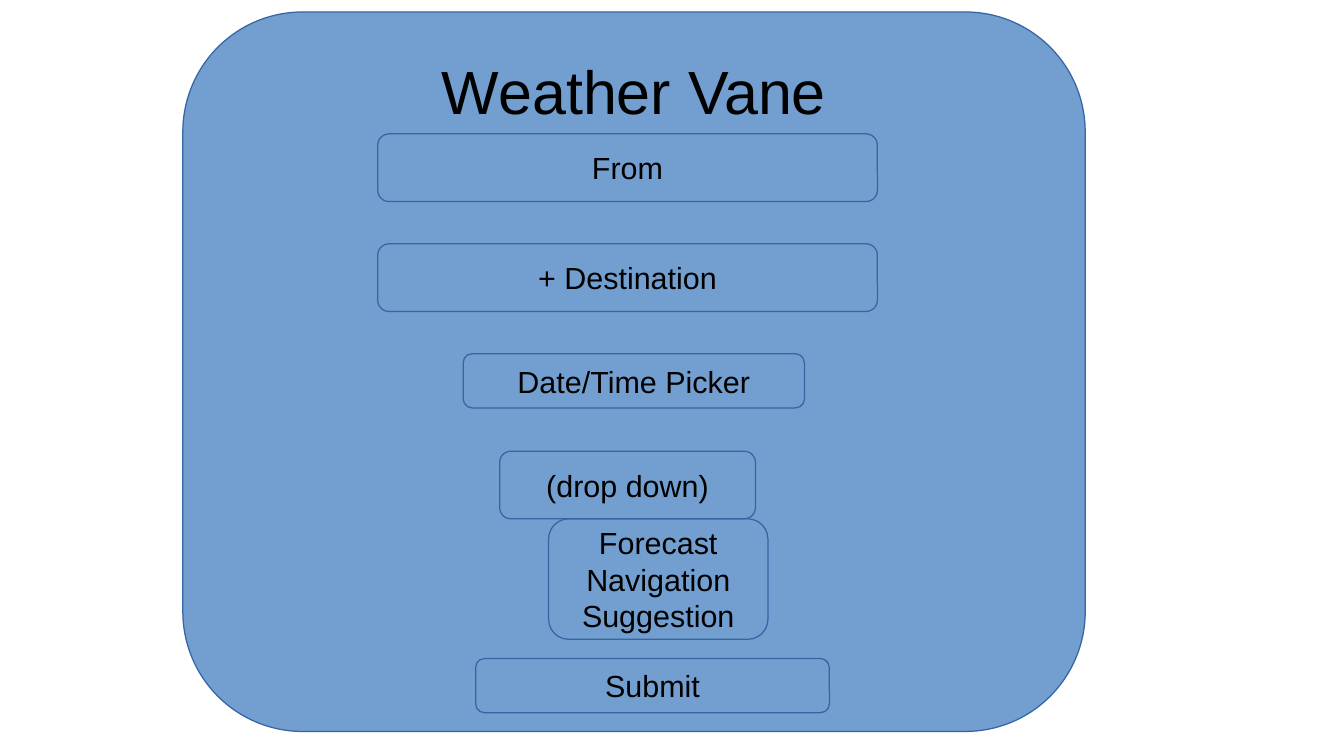
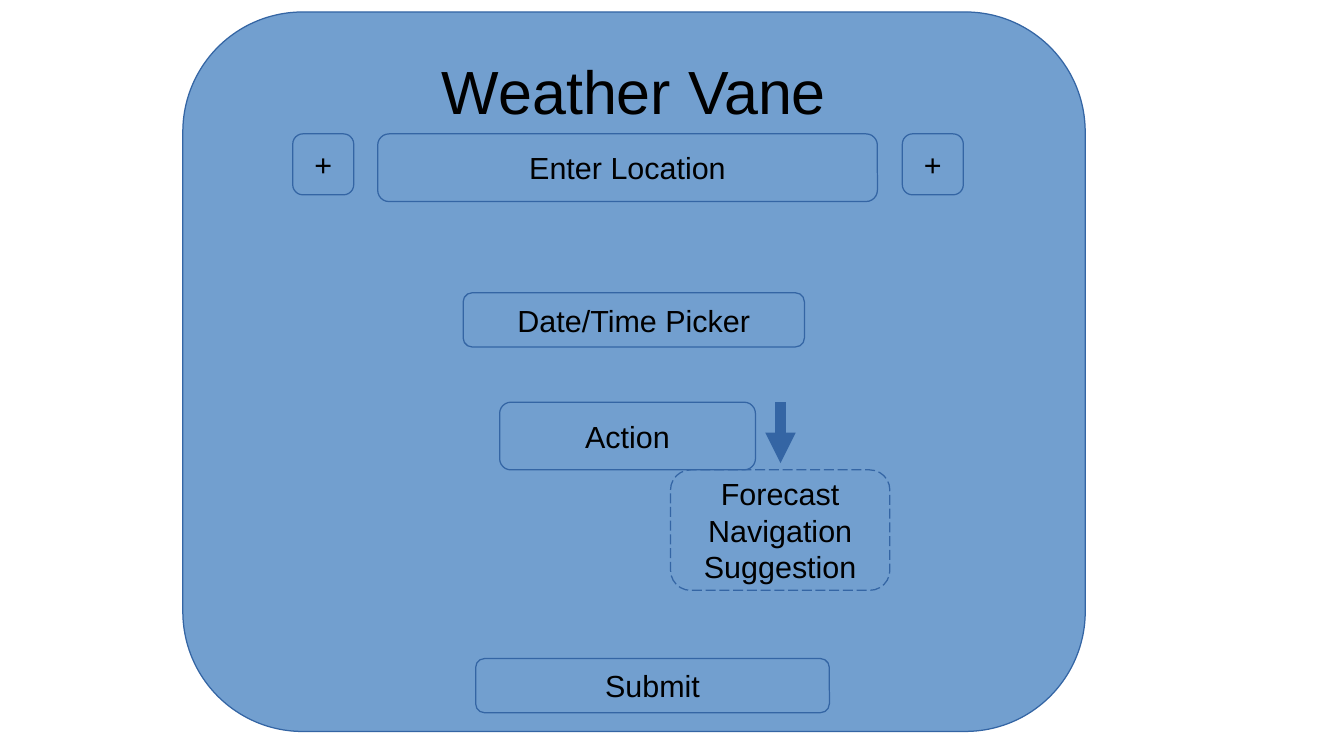
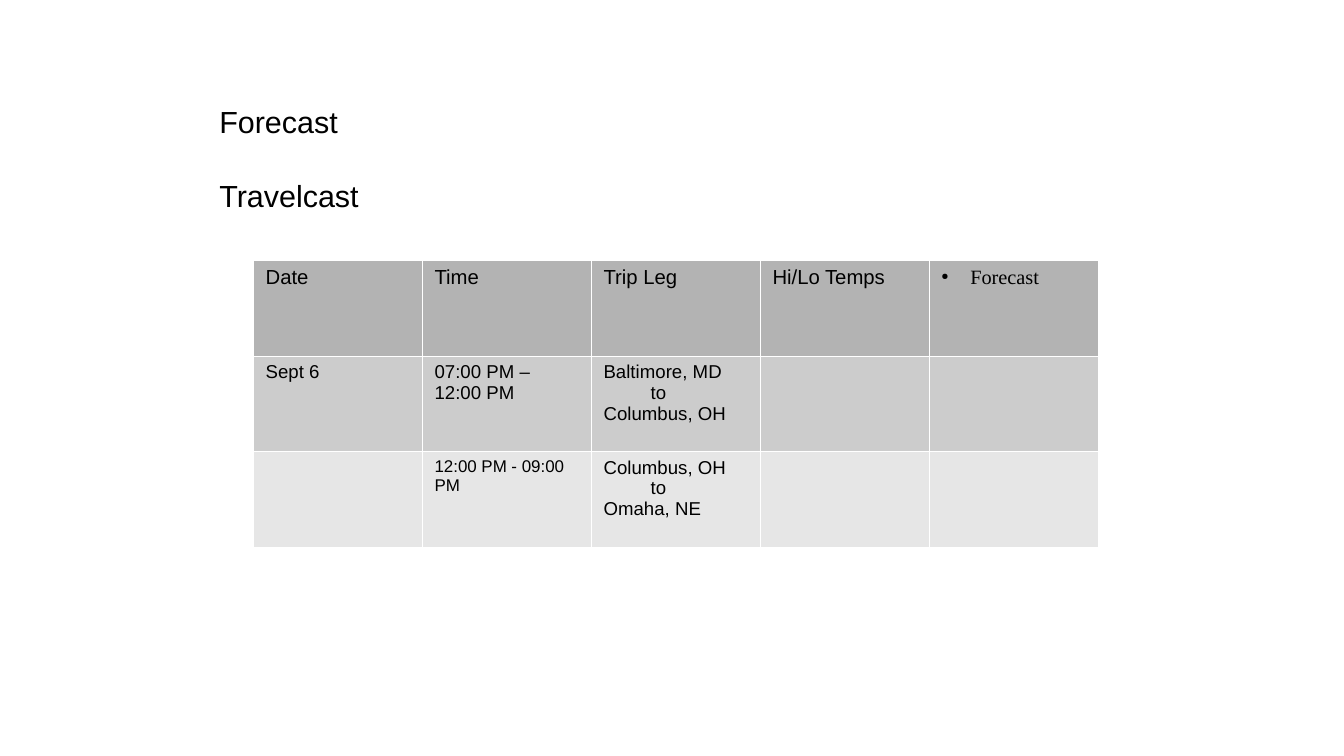
from lxml import etree
from pptx import Presentation
from pptx.dml.color import RGBColor
from pptx.enum.dml import MSO_LINE
from pptx.enum.shapes import MSO_CONNECTOR, MSO_SHAPE
from pptx.enum.text import MSO_ANCHOR, PP_ALIGN
from pptx.oxml.ns import qn
from pptx.util import Cm, Pt

ROUND = MSO_SHAPE.ROUNDED_RECTANGLE
STRAIGHT = MSO_CONNECTOR.STRAIGHT
DASH = MSO_LINE.LONG_DASH
TOP, MIDDLE = MSO_ANCHOR.TOP, MSO_ANCHOR.MIDDLE
LEFT, CENTER = PP_ALIGN.LEFT, PP_ALIGN.CENTER
CHOICES = "Forecast\nNavigation\nSuggestion"


def color(code):
    return RGBColor.from_string(code)


def write(frame, text, size=18, font="Arial", ink="000000", align=LEFT,
          anchor=TOP, wrap=True, gap=0, pads=None):
    frame.word_wrap = wrap
    frame.vertical_anchor = anchor
    for i, line in enumerate(text.split("\n")):
        para = frame.add_paragraph() if i else frame.paragraphs[0]
        para.alignment = align
        if i and gap:
            para.space_before = Pt(gap)
        if pads and i in pads:
            para._p.get_or_add_pPr().set("marL", str(Cm(pads[i])))
        run = para.add_run()
        run.text = line
        run.font.size = Pt(size)
        run.font.name = font
        run.font.color.rgb = color(ink)


def bullet(para, indent, mark, percent, ink):
    props = para._p.get_or_add_pPr()
    props.set("marL", str(Cm(indent)))
    props.set("indent", str(-Cm(indent)))
    tint = etree.SubElement(props, qn("a:buClr"))
    etree.SubElement(tint, qn("a:srgbClr"), val=ink)
    etree.SubElement(props, qn("a:buSzPct"), val=str(percent * 1000))
    etree.SubElement(props, qn("a:buChar"), char=mark)


def border(cell, ink, width):
    props = cell._tc.get_or_add_tcPr()
    for i, side in enumerate(("lnL", "lnR", "lnT", "lnB")):
        line = etree.Element(qn("a:" + side), w=str(Pt(width)))
        fill = etree.SubElement(line, qn("a:solidFill"))
        etree.SubElement(fill, qn("a:srgbClr"), val=ink)
        props.insert(i, line)


class Deck:
    """Holds the style and the current slide, and draws each kind of element."""

    fill = "729FCF"
    edge = "3465A4"
    bands = ("B3B3B3", "CCCCCC", "E6E6E6")

    def __init__(self, width, height):
        self.prs = Presentation()
        self.prs.slide_width, self.prs.slide_height = Cm(width), Cm(height)

    def start(self):
        self.slide = self.prs.slides.add_slide(self.prs.slide_layouts[6])

    def box(self, text, x, y, w, h, size=18, anchor=MIDDLE, dash=None):
        shape = self.slide.shapes.add_shape(ROUND, Cm(x), Cm(y), Cm(w), Cm(h))
        shape.shadow.inherit = False
        shape.fill.solid()
        shape.fill.fore_color.rgb = color(self.fill)
        shape.line.color.rgb = color(self.edge)
        shape.line.width = Pt(0.75)
        if dash:
            shape.line.dash_style = dash
        write(shape.text_frame, text, size=size, align=CENTER,
              anchor=anchor, wrap=False)

    def form(self):
        self.start()
        self.box("Weather Vane", 3.81, 0.25, 18.8, 14.99, size=36, anchor=TOP)
        self.box("Submit", 9.91, 13.72, 7.37, 1.13)

    def field(self, text, y):
        self.box(text, 7.87, y, 10.41, 1.41)

    def picker(self, y):
        self.box("Date/Time Picker", 9.65, y, 7.11, 1.13)

    def menu(self, text, y, x, dash=None):
        high = 1.41
        self.box(CHOICES, x, y + high, 4.57, 2.51, dash=dash)
        self.box(text, 10.41, y, 5.33, high)

    def arrow(self, x, y, end):
        line = self.slide.shapes.add_connector(
            STRAIGHT, Cm(x), Cm(y), Cm(x), Cm(end))
        line.line.color.rgb = color(self.edge)
        line.line.width = Pt(6)
        etree.SubElement(line.line._get_or_add_ln(), qn("a:tailEnd"),
                         type="triangle")
        etree.SubElement(line._element.spPr, qn("a:effectLst"))

    def label(self, text, x, y, w, h, **style):
        shape = self.slide.shapes.add_textbox(Cm(x), Cm(y), Cm(w), Cm(h))
        write(shape.text_frame, text, **style)

    def table(self, rows, x, y, wide, high):
        count = len(rows[0])
        table = self.slide.shapes.add_table(
            len(rows), count, Cm(x), Cm(y),
            Cm(wide * count), Cm(high * len(rows))).table
        table.first_row = table.horz_banding = False
        for col in table.columns:
            col.width = Cm(wide)
        for r, row in enumerate(rows):
            table.rows[r].height = Cm(high)
            for c, (text, style) in enumerate(row):
                cell = table.cell(r, c)
                cell.fill.solid()
                cell.fill.fore_color.rgb = color(self.bands[r])
                border(cell, "FFFFFF", 0.06)
                if text:
                    write(cell.text_frame, text, **style)
        return table


def main():
    deck = Deck(28, 15.75)

    deck.form()
    deck.field("From", 2.79)
    deck.field("+ Destination", 5.08)
    deck.picker(7.37)
    deck.menu("(drop down)", 9.4, 11.43)

    deck.form()
    deck.field("Enter Location", 2.79)
    for x in (6.1, 18.8):
        deck.box("+", x, 2.79, 1.27, 1.27)
    deck.picker(6.1)
    deck.menu("Action", 8.38, 13.97, dash=DASH)
    deck.arrow(16.26, 8.38, 9.65)

    deck.start()
    head, body, small = {"size": 12}, {"size": 11}, {"size": 10}
    leg = {"size": 11, "pads": {1: 0.98}}
    serif = {"size": 12, "font": "Times New Roman"}
    blank = ("", {})
    table = deck.table([
        [("Date", head), ("Time", head), ("Trip Leg", head),
         ("Hi/Lo Temps", head), ("Forecast", serif)],
        [("Sept 6", body), ("07:00 PM – 12:00 PM", body),
         ("Baltimore, MD\nto\nColumbus, OH", leg), blank, blank],
        [blank, ("12:00 PM - 09:00 PM", small),
         ("Columbus, OH\nto\nOmaha, NE", leg), blank, blank],
    ], 5.28, 5.42, 3.52, 1.99)
    bullet(table.cell(0, 4).text_frame.paragraphs[0], 0.6, "●", 45, "000000")
    deck.label("Forecast\nTravelcast", 4.32, 2.03, 9.4, 2.54, gap=22)

    deck.prs.save("out.pptx")


if __name__ == "__main__":
    main()
